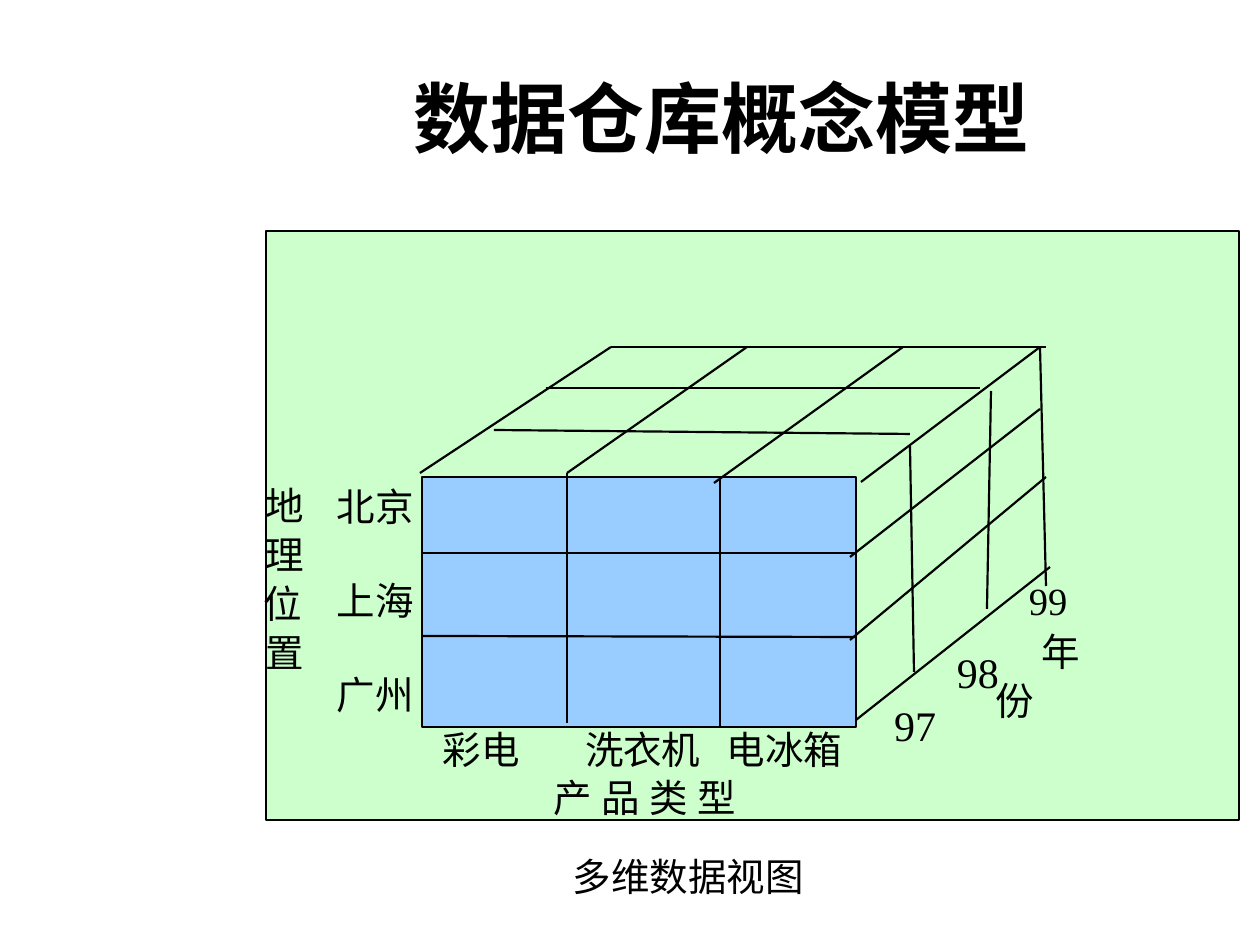
"""Build the data warehouse concept model slide with its multidimensional cube."""
import dataclasses

import lxml.etree
import pptx
import pptx.dml.color
import pptx.enum.shapes
import pptx.enum.text
import pptx.oxml.ns
import pptx.shapes.autoshape
import pptx.slide
import pptx.util

PX = 914400 / 126
BLACK = pptx.dml.color.RGBColor(0x00, 0x00, 0x00)
PANEL_GREEN = pptx.dml.color.RGBColor(0xCC, 0xFF, 0xCC)
FACE_BLUE = pptx.dml.color.RGBColor(0x99, 0xCC, 0xFF)
CHINESE = "Noto Sans CJK SC"
LATIN = "Times New Roman"
CHAR_WIDTH = 39


@dataclasses.dataclass(frozen=True)
class Label:
    text: str
    left: int
    top: int
    width: int = CHAR_WIDTH
    height: int = 47
    size: int = 22
    font: str = CHINESE
    bold: bool = False
    centred: bool = False
    wrap: bool = False
    inset: int = 0


@dataclasses.dataclass(frozen=True)
class Block:
    left: int
    top: int
    width: int
    height: int
    fill: pptx.dml.color.RGBColor
    line_width: float


@dataclasses.dataclass(frozen=True)
class Edge:
    x1: int
    y1: int
    x2: int
    y2: int


TITLE = Label("数据仓库概念模型", 246, 38, 951, 158, 44, "Calibri", True, True, True)
PANEL = Block(266, 231, 973, 589, PANEL_GREEN, 1)
FRONT_FACE = Block(422, 477, 434, 250, FACE_BLUE, 1.25)

LABELS = [
    TITLE,
    *(Label(char, left, 482 + 49 * row)
      for row, (char, left) in enumerate(zip("地理位置", (266, 266, 264, 266)))),
    *(Label(city, 337, 483 + 94 * row, CHAR_WIDTH * len(city))
      for row, city in enumerate(("北京", "上海", "广州"))),
    *(Label(product, 443 + 142 * column, 726, CHAR_WIDTH * len(product))
      for column, product in enumerate(("彩电", "洗衣机", "电冰箱"))),
    *(Label(char, 554 + 48 * column, 774) for column, char in enumerate("产品类型")),
    Label("年", 1042, 628),
    Label("份", 996, 677),
    Label("97", 881, 694, 84, 63, 24, LATIN, inset=13),
    Label("98", 944, 641, 73, 63, 24, LATIN, inset=13),
    Label("99", 1029, 577, font=LATIN),
    Label("多维数据视图", 573, 853, 330, wrap=True),
]

FRONT_EDGES = [
    Edge(422, 553, 856, 553),
    Edge(422, 636, 856, 637),
    Edge(567, 473, 567, 723),
    Edge(720, 477, 720, 727),
]
TOP_EDGES = [
    Edge(420, 473, 611, 347),
    Edge(747, 347, 567, 473),
    Edge(903, 347, 714, 483),
    Edge(494, 430, 910, 434),
    Edge(546, 388, 980, 388),
    Edge(611, 347, 1046, 347),
]
SIDE_EDGES = [
    Edge(861, 482, 1040, 347),
    Edge(850, 557, 1040, 409),
    Edge(850, 640, 1046, 477),
    Edge(856, 720, 1050, 567),
    Edge(910, 446, 914, 672),
    Edge(991, 391, 987, 609),
    Edge(1040, 347, 1046, 586),
]


def px(length: int) -> pptx.util.Emu:
    return pptx.util.Emu(round(length * PX))


def draw_block(page: pptx.slide.Slide, block: Block) -> None:
    shape = page.shapes.add_shape(
        pptx.enum.shapes.MSO_SHAPE.RECTANGLE,
        px(block.left), px(block.top), px(block.width), px(block.height))
    shape.shadow.inherit = False
    shape.fill.solid()
    shape.fill.fore_color.rgb = block.fill
    shape.line.color.rgb = BLACK
    shape.line.width = pptx.util.Pt(block.line_width)


def draw_edge(page: pptx.slide.Slide, edge: Edge) -> None:
    line = page.shapes.add_connector(
        pptx.enum.shapes.MSO_CONNECTOR.STRAIGHT,
        px(edge.x1), px(edge.y1), px(edge.x2), px(edge.y2))
    line.line.color.rgb = BLACK
    line.line.width = pptx.util.Pt(1.25)
    properties = line._element.spPr
    lxml.etree.SubElement(properties, pptx.oxml.ns.qn("a:effectLst"))


def draw_label(page: pptx.slide.Slide, label: Label) -> None:
    box = page.shapes.add_textbox(
        px(label.left), px(label.top), px(label.width), px(label.height))
    frame = box.text_frame
    frame.word_wrap = label.wrap
    frame.margin_left = frame.margin_right = px(label.inset)
    frame.margin_top = frame.margin_bottom = px(label.inset // 2)
    para = frame.paragraphs[0]
    if label.centred:
        frame.vertical_anchor = pptx.enum.text.MSO_ANCHOR.MIDDLE
        para.alignment = pptx.enum.text.PP_ALIGN.CENTER
    span = para.add_run()
    span.text = label.text
    span.font.name = label.font
    span.font.size = pptx.util.Pt(label.size)
    span.font.bold = label.bold
    span.font.color.rgb = BLACK
    east_asian = lxml.etree.SubElement(
        span._r.get_or_add_rPr(), pptx.oxml.ns.qn("a:ea"))
    east_asian.set("typeface", CHINESE)


def main() -> None:
    deck = pptx.Presentation()
    deck.slide_width = pptx.util.Inches(10)
    deck.slide_height = pptx.util.Inches(7.5)
    page = deck.slides.add_slide(deck.slide_layouts[6])
    for block in (PANEL, FRONT_FACE):
        draw_block(page, block)
    for edge in FRONT_EDGES + TOP_EDGES + SIDE_EDGES:
        draw_edge(page, edge)
    for label in LABELS:
        draw_label(page, label)
    deck.save("out.pptx")


if __name__ == "__main__":
    main()
